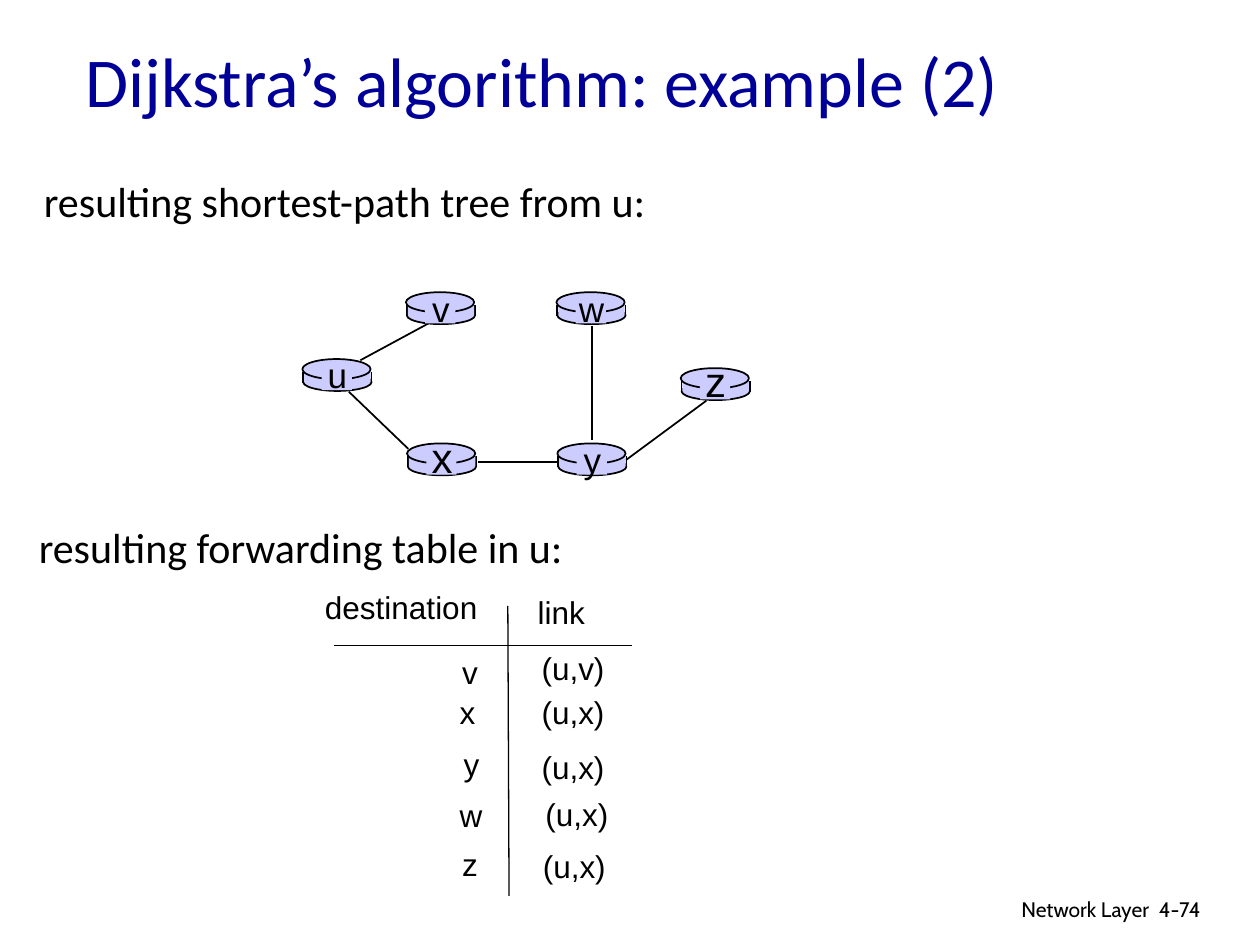
from lxml.etree import SubElement
from pptx import Presentation
from pptx.dml.color import RGBColor
from pptx.enum.shapes import MSO_CONNECTOR, MSO_SHAPE
from pptx.enum.text import MSO_ANCHOR, MSO_AUTO_SIZE, PP_ALIGN
from pptx.oxml.ns import qn
from pptx.util import Pt

BLACK = RGBColor(0x00, 0x00, 0x00)
NAVY = RGBColor(0x00, 0x00, 0x99)
LILAC = RGBColor(0xCC, 0xCC, 0xFF)

FIT = {"auto_size": MSO_AUTO_SIZE.SHAPE_TO_FIT_TEXT, "word_wrap": False}
WRAPPED = {"word_wrap": True}
TITLE_FRAME = {"word_wrap": True, "vertical_anchor": MSO_ANCHOR.MIDDLE}

TITLE = {"name": "Calibri", "size": Pt(40)}
HEADING = {"name": "Calibri", "size": Pt(24)}
FOOTER = {"name": "Cabin", "size": Pt(12)}
CELL = {"name": "Arial", "size": Pt(18)}

ROUTER_W = 39
ROUTERS = [
    ("u", 172.8, 205.2, 20),
    ("x", 232.6, 253.4, 24),
    ("v", 232, 167, 20),
    ("w", 318, 167, 20),
    ("y", 318.5, 253.4, 20),
    ("z", 389, 210.4, 24),
]
FIRST_EDGE = (205.9, 205.9, 248.4, 182.9)
EDGES = [
    (338.4, 186.5, 338.4, 251.3),
    (357.8, 262.8, 403.6, 229),
    (318.8, 264.2, 272.9, 264.2),
    (233.3, 256.5, 199.4, 223.9),
]
ROWS = [
    ("v", 257, 369.4, 23, "(u,v)", 302.4, 367.2),
    ("x", 255.6, 392.4, 23, "(u,x)", 302.4, 392.4),
    ("y", 257.8, 421.9, 23, "(u,x)", 302.4, 424.1),
    ("w", 255.6, 451.4, 27.4, "(u,x)", 304.6, 450.7),
    ("z", 257, 479.5, 23, "(u,x)", 303.1, 480.2),
]


def apply(target, values):
    for name, value in values.items():
        setattr(target, name, value)


def add_text(s, text, x, y, w, h, font, frame=FIT, align=PP_ALIGN.LEFT, color=BLACK):
    tf = s.shapes.add_textbox(Pt(x), Pt(y), Pt(w), Pt(h)).text_frame
    apply(tf, frame)
    p = tf.paragraphs[0]
    p.alignment = align
    r = p.add_run()
    r.text = text
    apply(r.font, font)
    r.font.color.rgb = color


def add_line(s, x1, y1, x2, y2, width=1):
    sp = s.shapes.add_connector(MSO_CONNECTOR.STRAIGHT, Pt(x1), Pt(y1), Pt(x2), Pt(y2))
    sp.line.color.rgb = BLACK
    sp.line.width = Pt(width)
    SubElement(sp._element.spPr, qn("a:effectLst"))


def add_filled(s, kind, x, y, w, h, outlined=False):
    sp = s.shapes.add_shape(kind, Pt(x), Pt(y), Pt(w), Pt(h))
    sp.shadow.inherit = False
    sp.fill.solid()
    sp.fill.fore_color.rgb = LILAC
    if outlined:
        sp.line.color.rgb = BLACK
        sp.line.width = Pt(1)
    else:
        sp.line.fill.background()


def add_router(s, x, y):
    add_filled(s, MSO_SHAPE.OVAL, x + 0.5, y + 8.2, ROUTER_W, 10, True)
    for side in (x + 0.5, x + 0.5 + ROUTER_W):
        add_line(s, side, y + 7.2, side, y + 13.4)
    add_filled(s, MSO_SHAPE.RECTANGLE, x + 1, y + 7.2, ROUTER_W - 1, 6)
    add_filled(s, MSO_SHAPE.OVAL, x, y, ROUTER_W, 11.5, True)


def add_router_label(s, name, x, y, size):
    add_filled(s, MSO_SHAPE.RECTANGLE, x + 11, y + 1.2, 17.3, 16.6)
    h = size * 1.1 + 9.6
    top = y - 6.5 - (size - 20)
    font = {"name": "Arial", "size": Pt(size)}
    add_text(s, name, x + 5, top, 30, h, font, align=PP_ALIGN.CENTER)


def add_tree(s):
    add_line(s, *FIRST_EDGE)
    for name, x, y, size in ROUTERS:
        add_router(s, x, y)
    for edge in EDGES:
        add_line(s, *edge)
    for router in ROUTERS:
        add_router_label(s, *router)


def add_forwarding_table(s):
    add_line(s, 290.2, 346.3, 290.9, 511.9, 0.75)
    add_line(s, 190.8, 368.9, 361.4, 368.9, 0.75)
    add_text(s, "destination", 178.6, 332.6, 101.5, 29, CELL)
    add_text(s, "link", 300.2, 335.5, 46, 29, CELL)
    for node, node_x, node_y, node_w, link, link_x, link_y in ROWS:
        add_text(s, node, node_x, node_y, node_w, 29, CELL)
        add_text(s, link, link_x, link_y, 50.4, 29, CELL)


def main():
    prs = Presentation()
    apply(prs, {"slide_width": Pt(720), "slide_height": Pt(540)})
    s = prs.slides.add_slide(prs.slide_layouts[6])
    add_text(s, "Network Layer", 435.6, 509, 228.2, 22.3, FOOTER, WRAPPED, PP_ALIGN.RIGHT)
    add_text(s, "4-74", 655.2, 509, 53.3, 21.6, FOOTER, WRAPPED)
    add_text(s, "Dijkstra’s algorithm: example (2)", 41.8, 12.2, 612, 67,
             TITLE, TITLE_FRAME, color=NAVY)
    add_tree(s)
    add_text(s, "resulting shortest-path tree from u:", 18, 96.5, 414, 36, HEADING)
    add_forwarding_table(s)
    add_text(s, "resulting forwarding table in u:", 15.1, 294.5, 364.3, 36, HEADING)
    prs.save("out.pptx")


if __name__ == "__main__":
    main()
